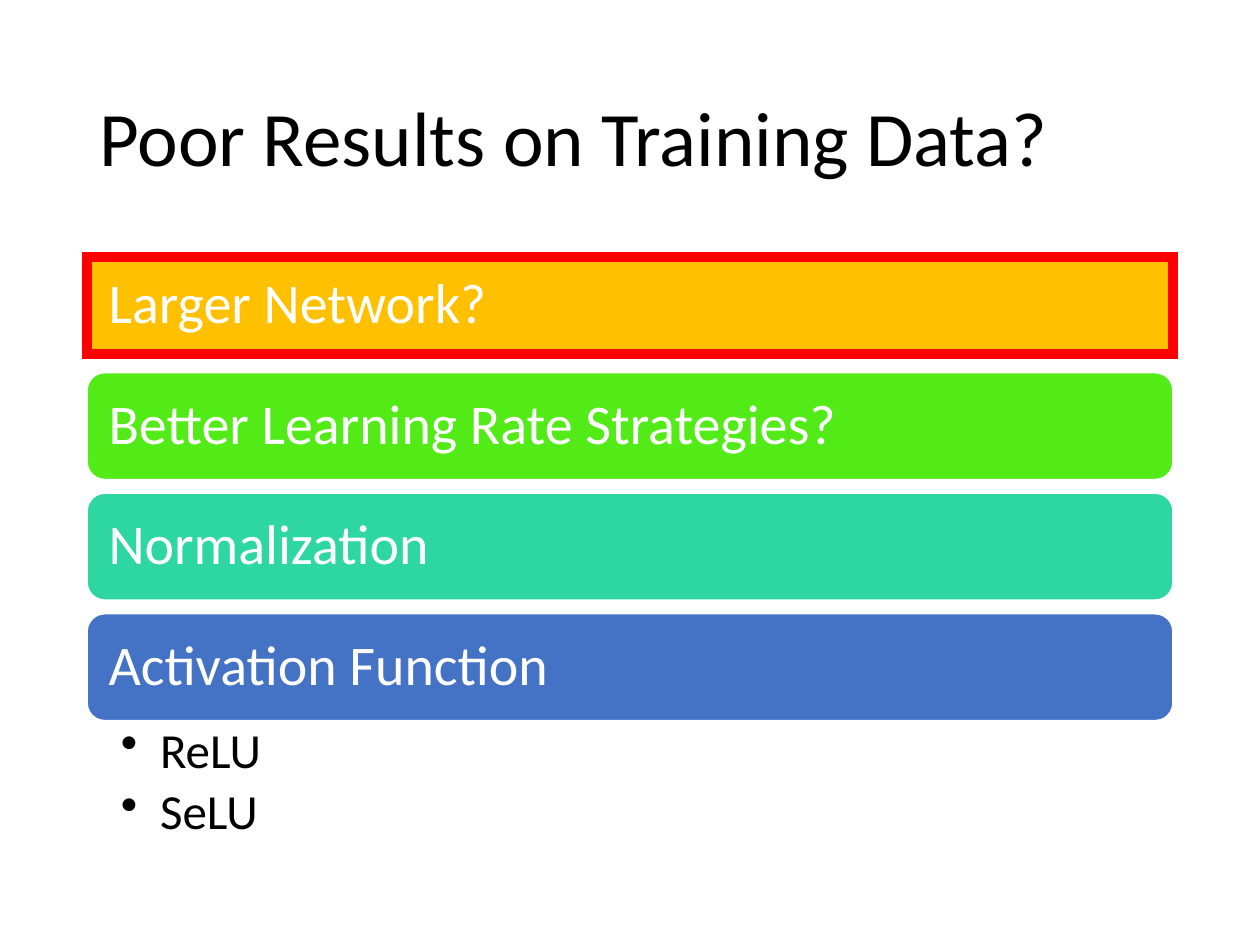
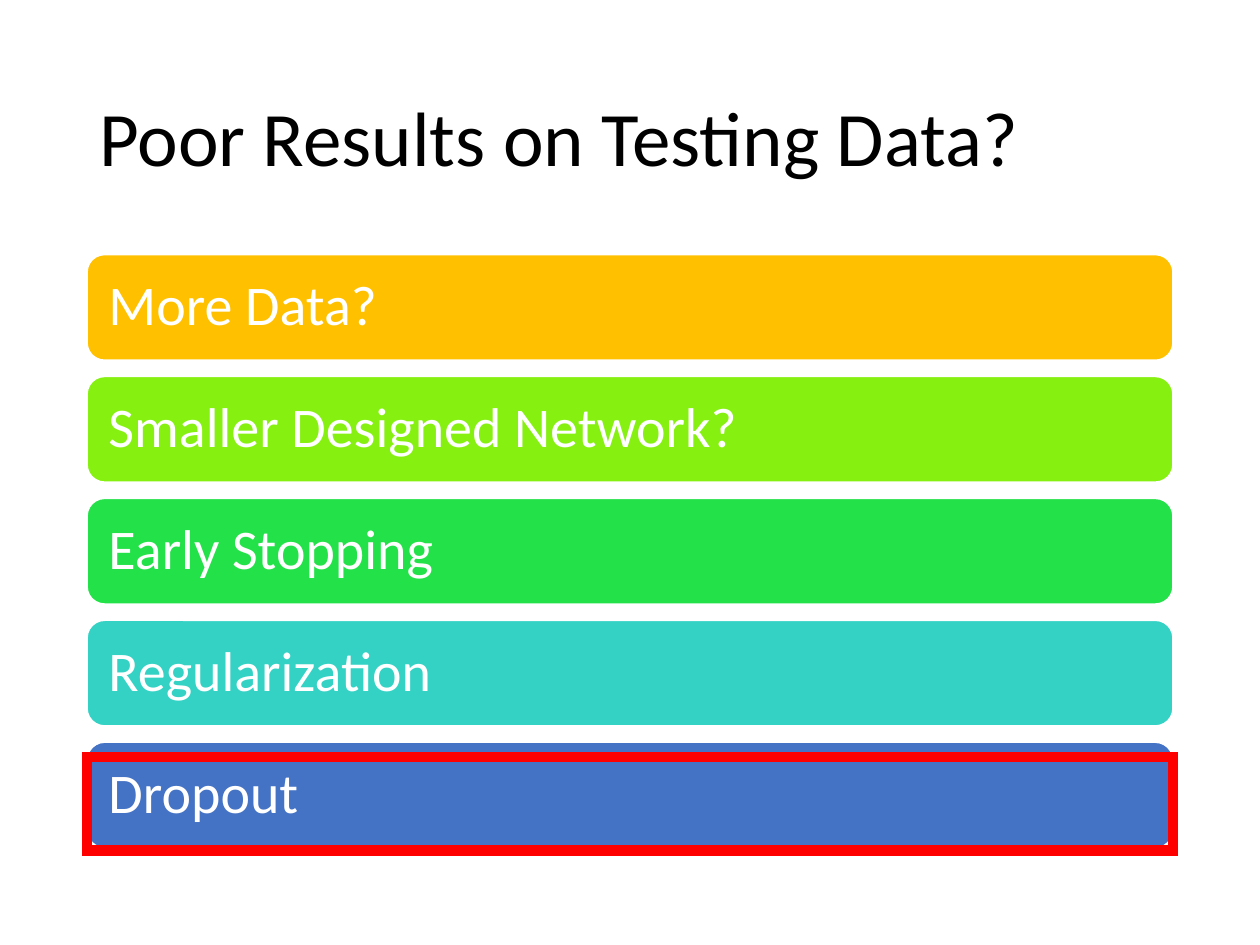
"""Build two slides of stacked suggestion bars, each with one bar framed."""
from dataclasses import dataclass

from lxml import etree
from pptx import Presentation
from pptx.dml.color import RGBColor
from pptx.enum.shapes import MSO_SHAPE
from pptx.enum.text import MSO_ANCHOR, PP_ALIGN
from pptx.oxml.ns import qn
from pptx.util import Inches, Pt

ROUNDED, RECTANGLE = MSO_SHAPE.ROUNDED_RECTANGLE, MSO_SHAPE.RECTANGLE
MIDDLE, TOP, LEFT_ALIGNED = MSO_ANCHOR.MIDDLE, MSO_ANCHOR.TOP, PP_ALIGN.LEFT

FONT = "Calibri"
BLACK = RGBColor(0x00, 0x00, 0x00)
WHITE = RGBColor(0xFF, 0xFF, 0xFF)
RED = RGBColor(0xFF, 0x00, 0x00)
AMBER = RGBColor(0xFF, 0xC0, 0x00)
GREEN = RGBColor(0x53, 0xEB, 0x17)
MINT = RGBColor(0x2E, 0xD7, 0xA1)
LIME = RGBColor(0x86, 0xF0, 0x11)
EMERALD = RGBColor(0x23, 0xE1, 0x48)
TURQUOISE = RGBColor(0x33, 0xD2, 0xC5)
BLUE = RGBColor(0x44, 0x72, 0xC4)

LEFT, WIDTH = 0.69, 8.62
TITLE_TOP, TITLE_HEIGHT = 0.4, 1.45
HANGING = 0.31


@dataclass(frozen=True)
class Bar:
    """A suggestion and its colour."""
    text: str
    color: RGBColor


@dataclass(frozen=True)
class BarSlide:
    """A title, evenly spaced bars, a red frame and optional bullets."""
    title: str
    bars: tuple[Bar, ...]
    first_top: float
    last_top: float
    bar_height: float
    frame_top: float
    frame_height: float
    bullets: tuple[str, ...] = ()


SLIDES = (
    BarSlide(
        "Poor Results on Training Data?",
        (
            Bar("Larger Network?", AMBER),
            Bar("Better Learning Rate Strategies?", GREEN),
            Bar("Normalization", MINT),
            Bar("Activation Function", BLUE),
        ),
        first_top=2, last_top=4.87, bar_height=0.85,
        frame_top=2.04, frame_height=0.77,
        bullets=("ReLU", "SeLU"),
    ),
    BarSlide(
        "Poor Results on Testing Data?",
        (
            Bar("More Data?", AMBER),
            Bar("Smaller Designed Network?", LIME),
            Bar("Early Stopping", EMERALD),
            Bar("Regularization", TURQUOISE),
            Bar("Dropout", BLUE),
        ),
        first_top=2.02, last_top=5.89, bar_height=0.84,
        frame_top=6.01, frame_height=0.74,
    ),
)


def write_text(box, *lines: str, size: int, color: RGBColor = BLACK,
               anchor=MIDDLE, margins=(0.1, 0.05, 0.1, 0.05),
               space_after: float = 0, bulleted: bool = False) -> None:
    """Write one paragraph per line in the given format."""
    frame = box.text_frame
    frame.word_wrap = True
    frame.vertical_anchor = anchor
    (frame.margin_left, frame.margin_top,
     frame.margin_right, frame.margin_bottom) = map(Inches, margins)
    for number, line in enumerate(lines):
        para = frame.add_paragraph() if number else frame.paragraphs[0]
        para.alignment = LEFT_ALIGNED
        para.line_spacing = 0.9
        para.space_after = Pt(space_after)
        if bulleted:
            add_bullet(para)
        span = para.add_run()
        span.text = line
        span.font.name = FONT
        span.font.size = Pt(size)
        span.font.color.rgb = color


def add_bullet(para) -> None:
    """Give a paragraph a round bullet with a hanging indent."""
    properties = para._p.get_or_add_pPr()
    properties.set("marL", str(Inches(HANGING)))
    properties.set("indent", str(-Inches(HANGING)))
    etree.SubElement(properties, qn("a:buChar"), char="•")


def add_text_box(page, top: float, height: float):
    """Add an empty text box of the shared width."""
    return page.shapes.add_textbox(
        Inches(LEFT), Inches(top), Inches(WIDTH), Inches(height))


def add_block(page, preset, top: float, height: float,
              line_color: RGBColor, line_width: float):
    """Add an outlined shape of the shared width."""
    block = page.shapes.add_shape(
        preset, Inches(LEFT), Inches(top), Inches(WIDTH), Inches(height))
    block.shadow.inherit = False
    block.line.color.rgb = line_color
    block.line.width = Pt(line_width)
    return block


def add_bar(page, bar: Bar, top: float, height: float) -> None:
    """Add a rounded bar holding its suggestion."""
    block = add_block(page, ROUNDED, top, height, WHITE, 1)
    block.fill.solid()
    block.fill.fore_color.rgb = bar.color
    write_text(block, bar.text, size=32, color=WHITE, margins=(0.13,) * 4)


def add_frame(page, top: float, height: float) -> None:
    """Add a hollow red frame with sharp corners."""
    frame = add_block(page, RECTANGLE, top, height, RED, 6)
    frame.fill.background()
    outline = frame._element.spPr.find(qn("a:ln"))
    etree.SubElement(outline, qn("a:miter"), lim="800000")


def add_bar_slide(deck, content: BarSlide) -> None:
    """Add a slide with its title, bars, bullets and frame."""
    page = deck.slides.add_slide(deck.slide_layouts[6])
    title = add_text_box(page, TITLE_TOP, TITLE_HEIGHT)
    write_text(title, content.title, size=44)
    pitch = (content.last_top - content.first_top) / (len(content.bars) - 1)
    for index, bar in enumerate(content.bars):
        add_bar(page, bar, content.first_top + index * pitch, content.bar_height)
    if content.bullets:
        box = add_text_box(page, content.last_top + content.bar_height, 1.04)
        write_text(box, *content.bullets, size=28, anchor=TOP,
                   margins=(0.27, 0.04, 0.22, 0.04), space_after=5, bulleted=True)
    add_frame(page, content.frame_top, content.frame_height)


def main() -> None:
    """Build and save the deck."""
    deck = Presentation()
    deck.slide_width, deck.slide_height = Inches(10), Inches(7.5)
    for content in SLIDES:
        add_bar_slide(deck, content)
    deck.save("out.pptx")


if __name__ == "__main__":
    main()
